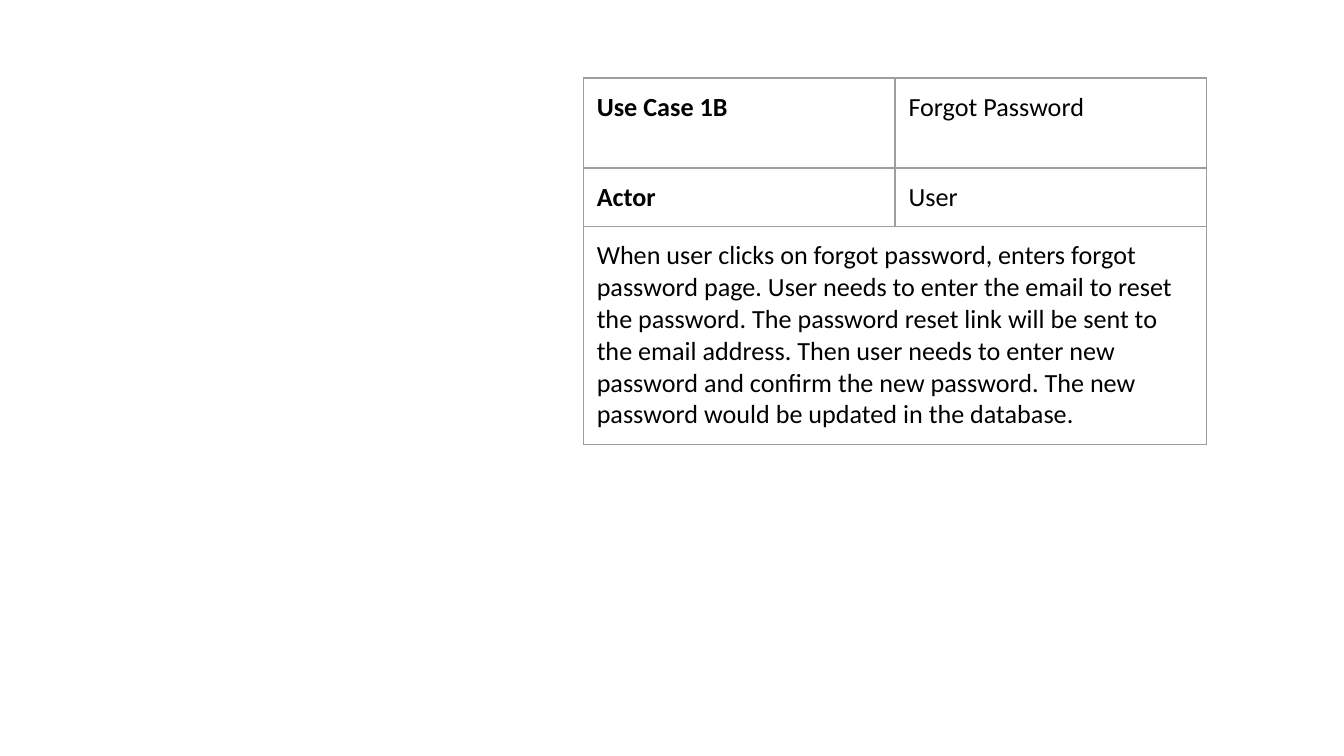
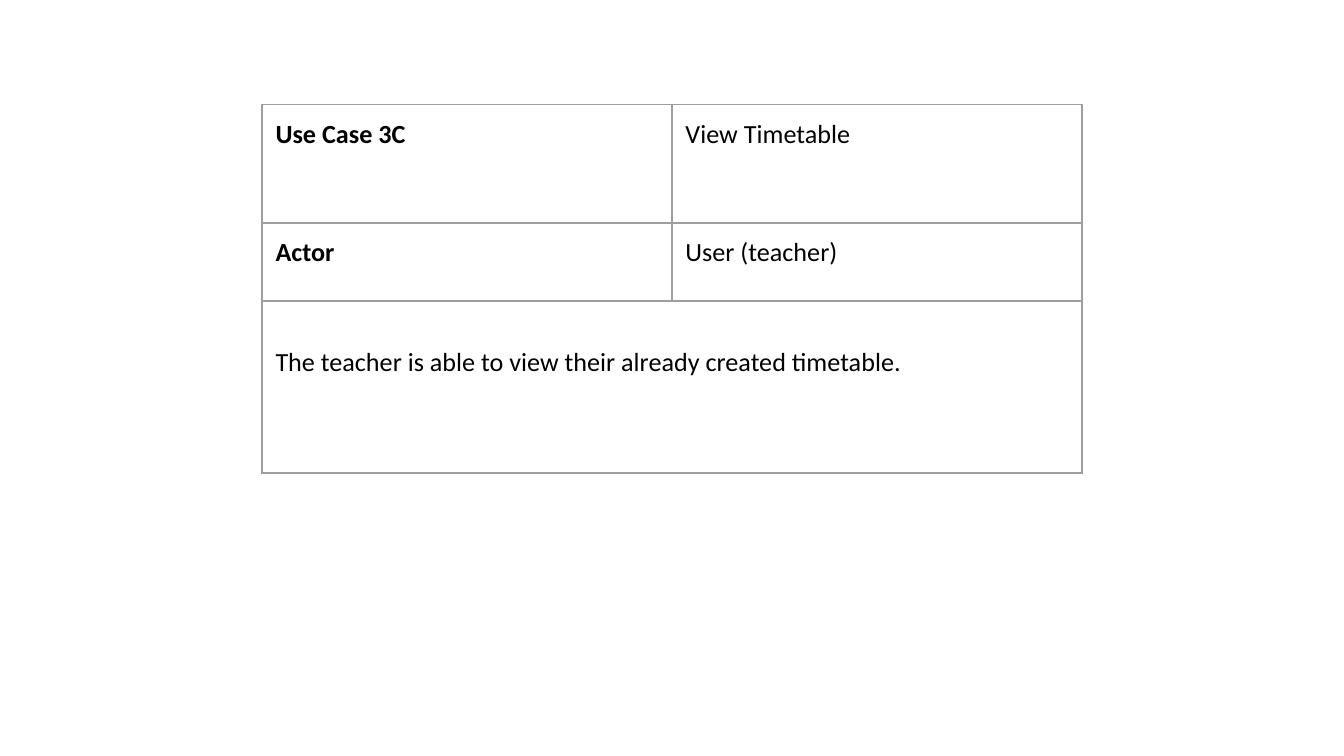
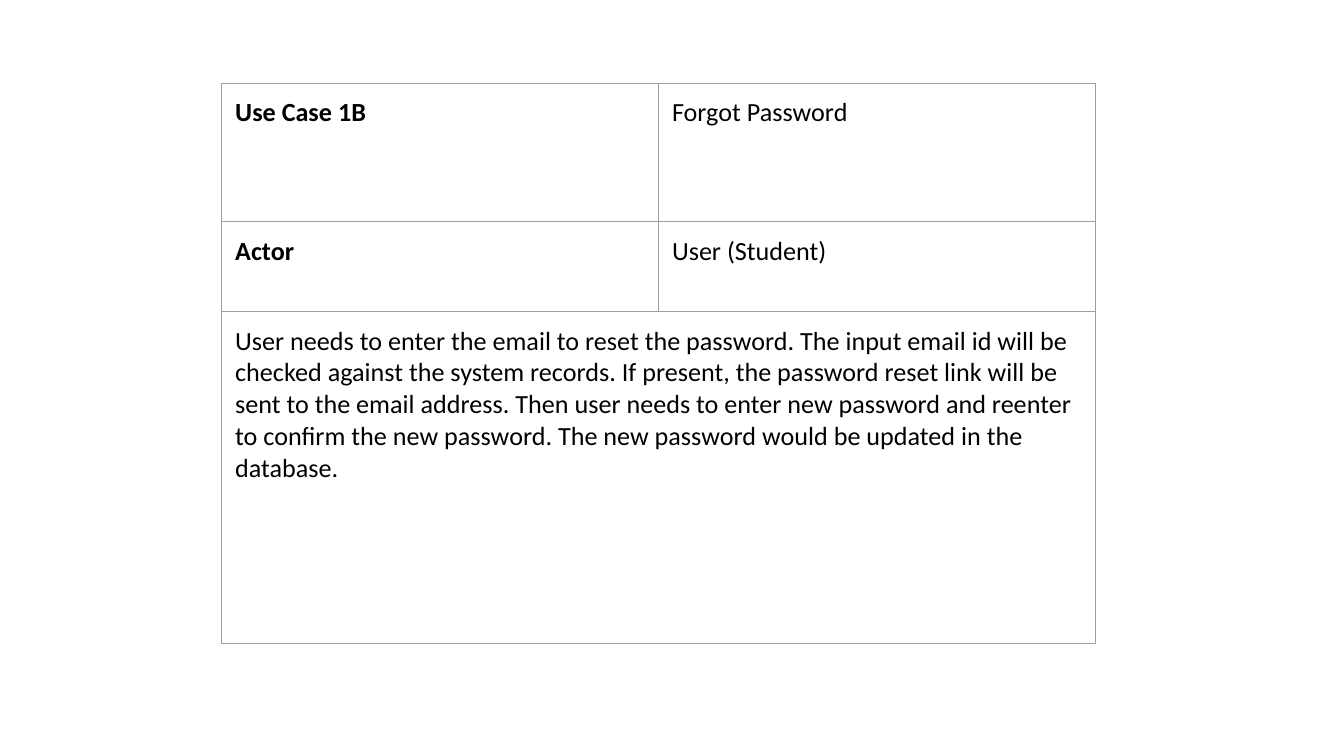
from lxml import etree
from pptx import Presentation
from pptx.dml.color import RGBColor
from pptx.oxml.ns import qn
from pptx.util import Inches, Pt

BLACK = "000000"
GREY = "9E9E9E"
FONT = "Calibri"
FONT_SIZE = Pt(14)
BORDER_WIDTH = Pt(0.75)
BORDER_SIDES = ("a:lnL", "a:lnR", "a:lnT", "a:lnB")
PADDING = 0.1
BLANK_LAYOUT = 6

USE_CASES = [
    {
        "name": ("Use Case 1B", "Forgot Password"),
        "actor": ("Actor", "User"),
        "description": "When user clicks on forgot password, enters forgot password page. "
                       "User needs to enter the email to reset the password. The password "
                       "reset link will be sent to the email address. Then user needs to "
                       "enter new password and confirm the new password. The new password "
                       "would be updated in the database.",
        "corner": (4.34, 0.58),
        "column_width": 2.32,
        "row_heights": (0.67, 0.43, 1.62),
    },
    {
        "name": ("Use Case 3C", "View Timetable"),
        "actor": ("Actor", "User (teacher)"),
        "description": "The teacher is able to view their already created timetable.",
        "description_gap": 0.24,
        "corner": (1.95, 0.78),
        "column_width": 3.05,
        "row_heights": (0.88, 0.58, 1.28),
    },
    {
        "name": ("Use Case 1B", "Forgot Password"),
        "actor": ("Actor", "User (Student)"),
        "description": "User needs to enter the email to reset the password. The input email "
                       "id will be checked against the system records. If present, the "
                       "password reset link will be sent to the email address. Then user "
                       "needs to enter new password and reenter to confirm the new password. "
                       "The new password would be updated in the database.",
        "corner": (1.65, 0.62),
        "column_width": 3.25,
        "row_heights": (1.03, 0.67, 2.47),
    },
]


def rgb(hex_color):
    return RGBColor.from_string(hex_color)


def add_borders(cell):
    properties = cell._tc.get_or_add_tcPr()
    for position, side in enumerate(BORDER_SIDES):
        line = etree.Element(qn(side), w=str(BORDER_WIDTH))
        fill = etree.SubElement(line, qn("a:solidFill"))
        etree.SubElement(fill, qn("a:srgbClr"), val=GREY)
        properties.insert(position, line)


def write_cell(cell, text, bold=False, gap_above=0):
    cell.margin_left = cell.margin_right = cell.margin_bottom = Inches(PADDING)
    cell.margin_top = Inches(PADDING + gap_above)
    cell.text = text
    font = cell.text_frame.paragraphs[0].font
    font.name = FONT
    font.size = FONT_SIZE
    font.bold = bold
    font.color.rgb = rgb(BLACK)


def add_use_case(slide, use_case):
    left, top = use_case["corner"]
    column_width = use_case["column_width"]
    heights = use_case["row_heights"]
    table = slide.shapes.add_table(
        len(heights), 2, Inches(left), Inches(top),
        Inches(2 * column_width), Inches(sum(heights))).table
    table.first_row = table.horz_banding = False
    for row, height in zip(table.rows, heights):
        row.height = Inches(height)

    for row, (label, value) in enumerate((use_case["name"], use_case["actor"])):
        write_cell(table.cell(row, 0), label, bold=True)
        write_cell(table.cell(row, 1), value)
    description = table.cell(2, 0)
    description.merge(table.cell(2, 1))
    write_cell(description, use_case["description"],
               gap_above=use_case.get("description_gap", 0))

    for cell in table.iter_cells():
        cell.fill.background()
        add_borders(cell)


def main():
    deck = Presentation()
    deck.slide_width = Inches(10)
    deck.slide_height = deck.slide_width * 9 // 16
    for use_case in USE_CASES:
        slide = deck.slides.add_slide(deck.slide_layouts[BLANK_LAYOUT])
        add_use_case(slide, use_case)
    deck.save("out.pptx")


if __name__ == "__main__":
    main()
